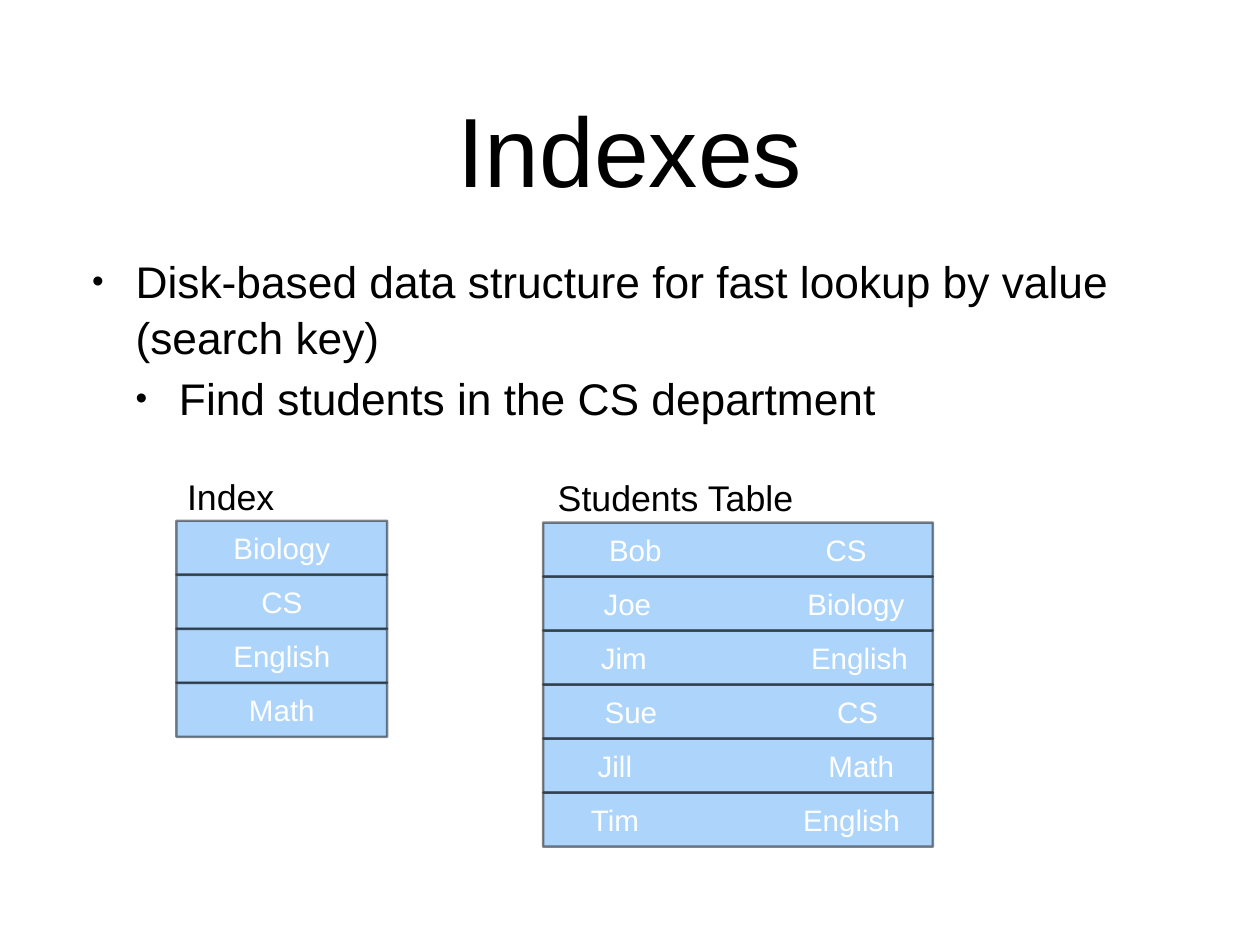
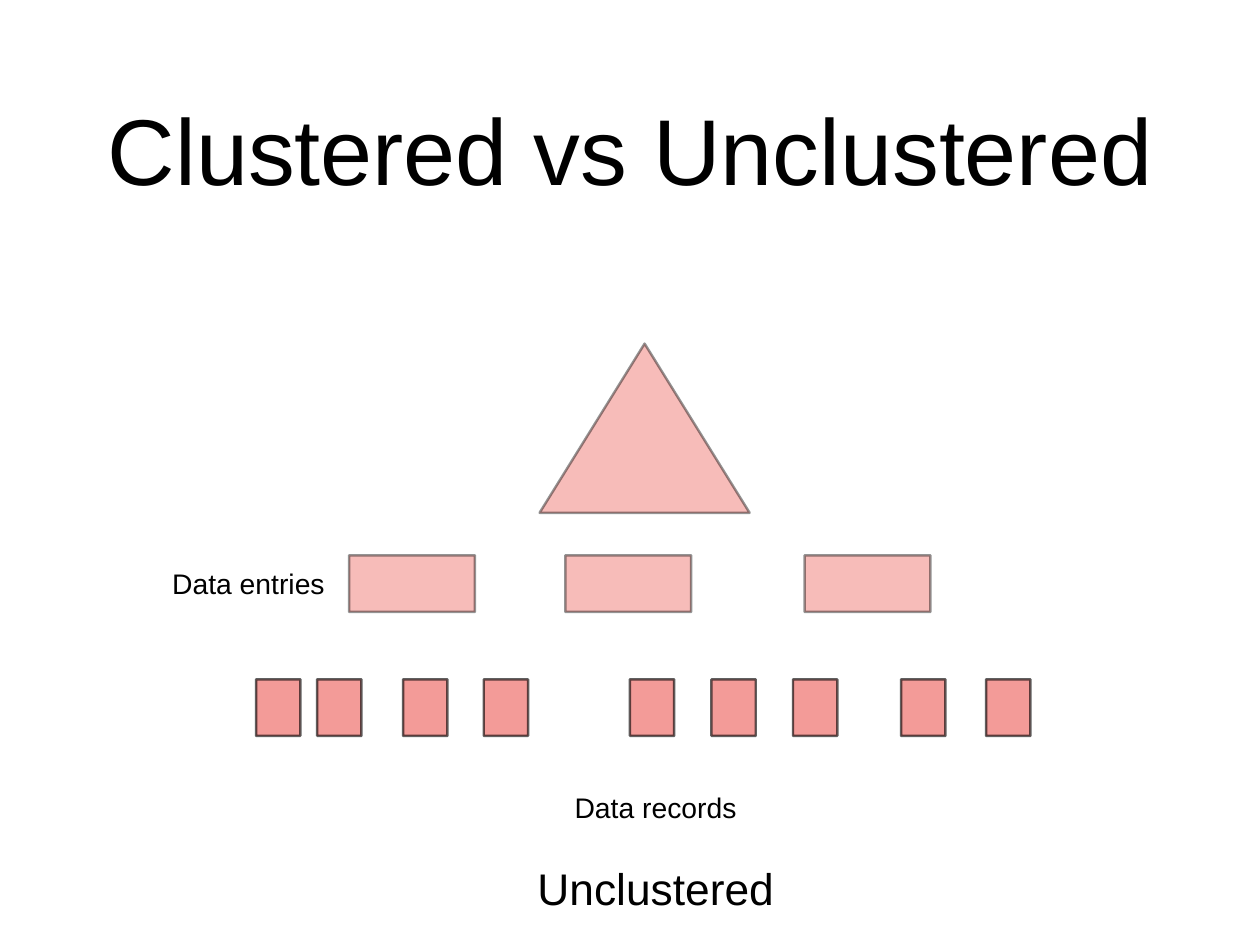
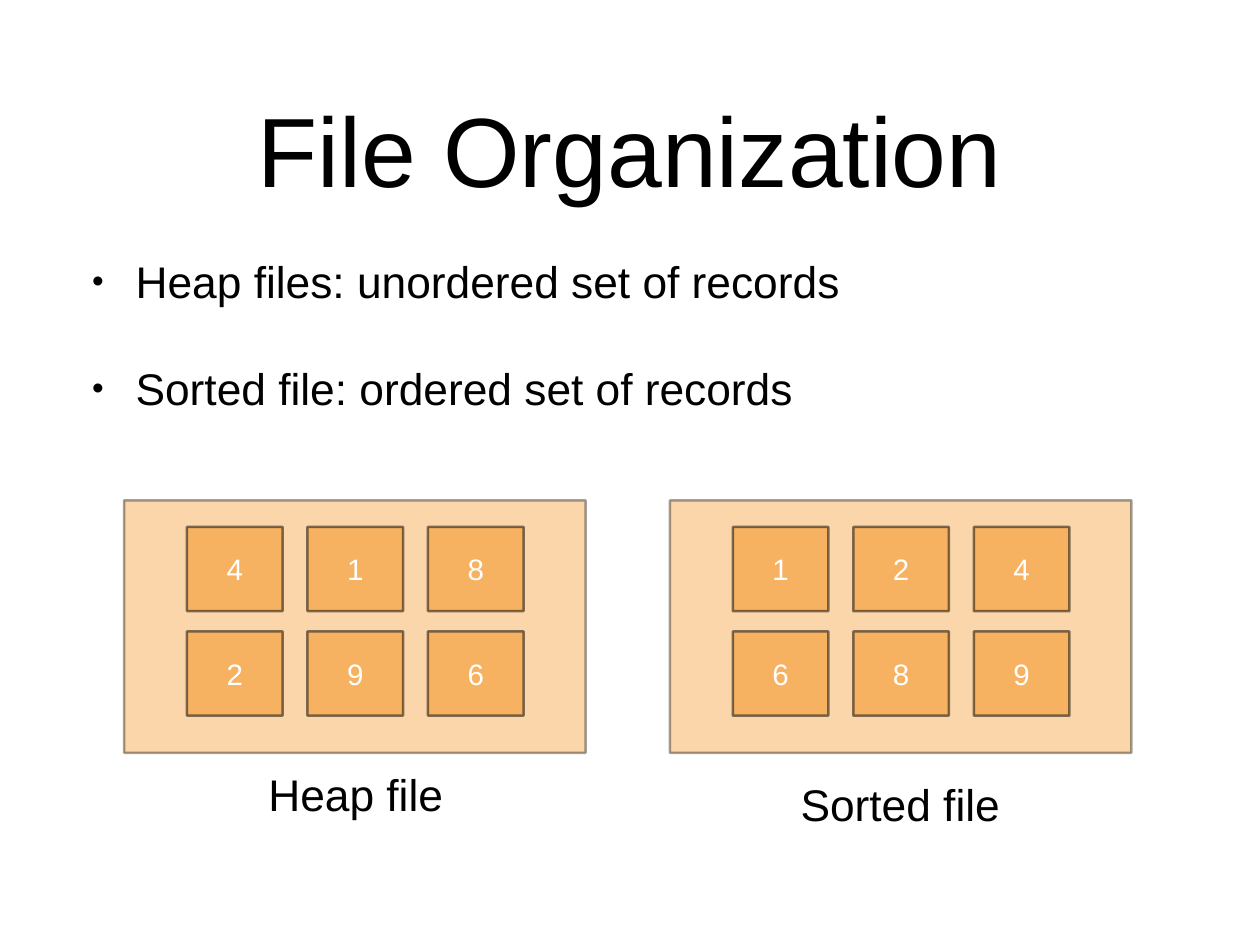
"""Build three slides on indexes, clustering and file organization."""
from lxml.etree import SubElement
from pptx import Presentation
from pptx.dml.color import RGBColor
from pptx.enum.shapes import MSO_SHAPE
from pptx.enum.text import MSO_ANCHOR, MSO_AUTO_SIZE, PP_ALIGN
from pptx.oxml.ns import qn
from pptx.util import Inches, Pt

BLACK = RGBColor(0x00, 0x00, 0x00)
WHITE = RGBColor(0xFF, 0xFF, 0xFF)
BLUE = RGBColor(0x51, 0xA7, 0xF9)
RED = RGBColor(0xEC, 0x5D, 0x57)
ORANGE = RGBColor(0xF3, 0x90, 0x19)

MARGINS = ("margin_left", "margin_top", "margin_right", "margin_bottom")
PLACEHOLDER_FRAME = {
    **dict.fromkeys(MARGINS, 0),
    "word_wrap": True,
    "auto_size": MSO_AUTO_SIZE.NONE,
}
TITLE_FRAME = {**PLACEHOLDER_FRAME, "vertical_anchor": MSO_ANCHOR.MIDDLE}
BODY_FRAME = {**PLACEHOLDER_FRAME, "vertical_anchor": MSO_ANCHOR.TOP}
LABEL_FRAME = {
    **dict.fromkeys(MARGINS, Inches(0.06)),
    "vertical_anchor": MSO_ANCHOR.MIDDLE,
    "word_wrap": False,
    "auto_size": MSO_AUTO_SIZE.SHAPE_TO_FIT_TEXT,
}


def write(shape, text, size, color, frame_format, align=PP_ALIGN.CENTER):
    """Put text into a shape, one paragraph a line, and return the paragraphs."""
    frame = shape.text_frame
    for name, value in frame_format.items():
        setattr(frame, name, value)
    for number, line in enumerate(text.split("\n")):
        para = frame.add_paragraph() if number else frame.paragraphs[0]
        para.alignment = align
        span = para.add_run()
        span.text = line
        span.font.name = "Arial"
        span.font.size = Pt(size)
        span.font.color.rgb = color
    return frame.paragraphs


def add_box(slide, place, color, opacity, kind=MSO_SHAPE.RECTANGLE):
    """Add a translucent outlined shape."""
    box = slide.shapes.add_shape(kind, *map(Inches, place))
    box.shadow.inherit = False
    box.fill.solid()
    box.fill.fore_color.rgb = color
    box.line.color.rgb = BLACK
    box.line.width = Pt(2)
    for tint in box._element.spPr.iter(qn("a:srgbClr")):
        SubElement(tint, qn("a:alpha"), val=str(opacity * 1000))
    return box


deck = Presentation()
deck.slide_width, deck.slide_height = Inches(14.22), Inches(10.67)

outlines = [
    ("Indexes", 80, 2.62, [
        (0, 42, "Disk-based data structure for fast lookup by value (search key)"),
        (1, 5, "Find students in the CS department"),
    ]),
    ("Clustered vs Unclustered", 76, 0, []),
    ("File Organization", 80, 2.03, [
        (0, 42, "Heap files: unordered set of records"),
        (0, 42, "Sorted file: ordered set of records"),
    ]),
]
for title, title_size, body_height, bullets in outlines:
    slide = deck.slides.add_slide(deck.slide_layouts[1 if bullets else 5])
    heading = slide.shapes.title
    heading.left, heading.top, heading.width, heading.height = map(
        Inches, (1.04, 0.49, 12.14, 2.36))
    write(heading, title, title_size, BLACK, TITLE_FRAME)
    if not bullets:
        continue
    body = slide.placeholders[1]
    body.left, body.top, body.width, body.height = map(
        Inches, (1.04, 2.85, 12.14, body_height))
    lines = "\n".join(text for level, gap, text in bullets)
    paras = write(body, lines, 36, BLACK, BODY_FRAME, PP_ALIGN.LEFT)
    for para, (level, gap, text) in zip(paras, bullets):
        para.level = level
        para.space_before = Pt(gap)
        para.line_spacing = 1.04
        properties = para._p.get_or_add_pPr()
        properties.set("marL", str(Inches(0.49 * (level + 1))))
        properties.set("indent", str(Inches(-0.49)))
        SubElement(properties, qn("a:buSzPct"), val="75000")
        SubElement(properties, qn("a:buChar"), char="•")

indexes, clustering, organization = deck.slides

ROW_HEIGHT = 0.61
for row, department in enumerate(["Biology", "CS", "English", "Math"]):
    box = add_box(indexes, (1.99, 5.88 + row * ROW_HEIGHT, 2.38, ROW_HEIGHT), BLUE, 47)
    write(box, department, 24, WHITE, TITLE_FRAME)

students = [
    ("Bob", 1.04, "CS", 3.42),
    ("Joe", 0.95, "Biology", 3.53),
    ("Jim", 0.91, "English", 3.57),
    ("Sue", 0.99, "CS", 3.55),
    ("Jill", 0.81, "Math", 3.59),
    ("Tim", 0.81, "English", 3.48),
]
for row, (student, student_center, department, department_center) in enumerate(students):
    box = add_box(indexes, (6.13, 5.9 + row * ROW_HEIGHT, 4.4, ROW_HEIGHT), BLUE, 47)
    para = write(box, f"\t{student}\t{department}", 24, WHITE, TITLE_FRAME, PP_ALIGN.LEFT)[0]
    tabs = SubElement(para._p.get_or_add_pPr(), qn("a:tabLst"))
    for center in (student_center, department_center):
        SubElement(tabs, qn("a:tab"), pos=str(Inches(center)), algn="ctr")

add_box(clustering, (6.09, 3.88, 2.37, 1.91), RED, 41, MSO_SHAPE.ISOSCELES_TRIANGLE)
for left in (3.94, 6.38, 9.08):
    add_box(clustering, (left, 6.27, 1.42, 0.64), RED, 41)
for left in (2.89, 3.58, 4.55, 5.46, 7.11, 8.03, 8.95, 10.17, 11.13):
    add_box(clustering, (left, 7.67, 0.5, 0.64), RED, 61)

for panel_left, numbers in ((1.4, "418296"), (7.56, "124689")):
    add_box(organization, (panel_left, 5.65, 5.21, 2.85), ORANGE, 37)
    for position, number in enumerate(numbers):
        row, column = divmod(position, 3)
        place = (panel_left + 0.71 + column * 1.36, 5.95 + row * 1.18, 1.08, 0.95)
        write(add_box(organization, place, ORANGE, 50), number, 24, WHITE, TITLE_FRAME)

labels = [
    (indexes, "Students Table", 29, (6.23, 5.32, 2.79, 0.6)),
    (indexes, "Index", 29, (2.04, 5.3, 1.13, 0.6)),
    (clustering, "Data entries", 23, (1.88, 6.34, 1.85, 0.5)),
    (clustering, "Data records", 23, (6.41, 8.86, 1.98, 0.5)),
    (clustering, "Unclustered", 36, (5.98, 9.67, 2.84, 0.71)),
    (organization, "Heap file", 36, (2.95, 8.61, 2.13, 0.71)),
    (organization, "Sorted file", 36, (8.97, 8.72, 2.38, 0.71)),
]
for slide, text, size, place in labels:
    label = slide.shapes.add_textbox(*map(Inches, place))
    write(label, text, size, BLACK, LABEL_FRAME)

deck.save("out.pptx")
